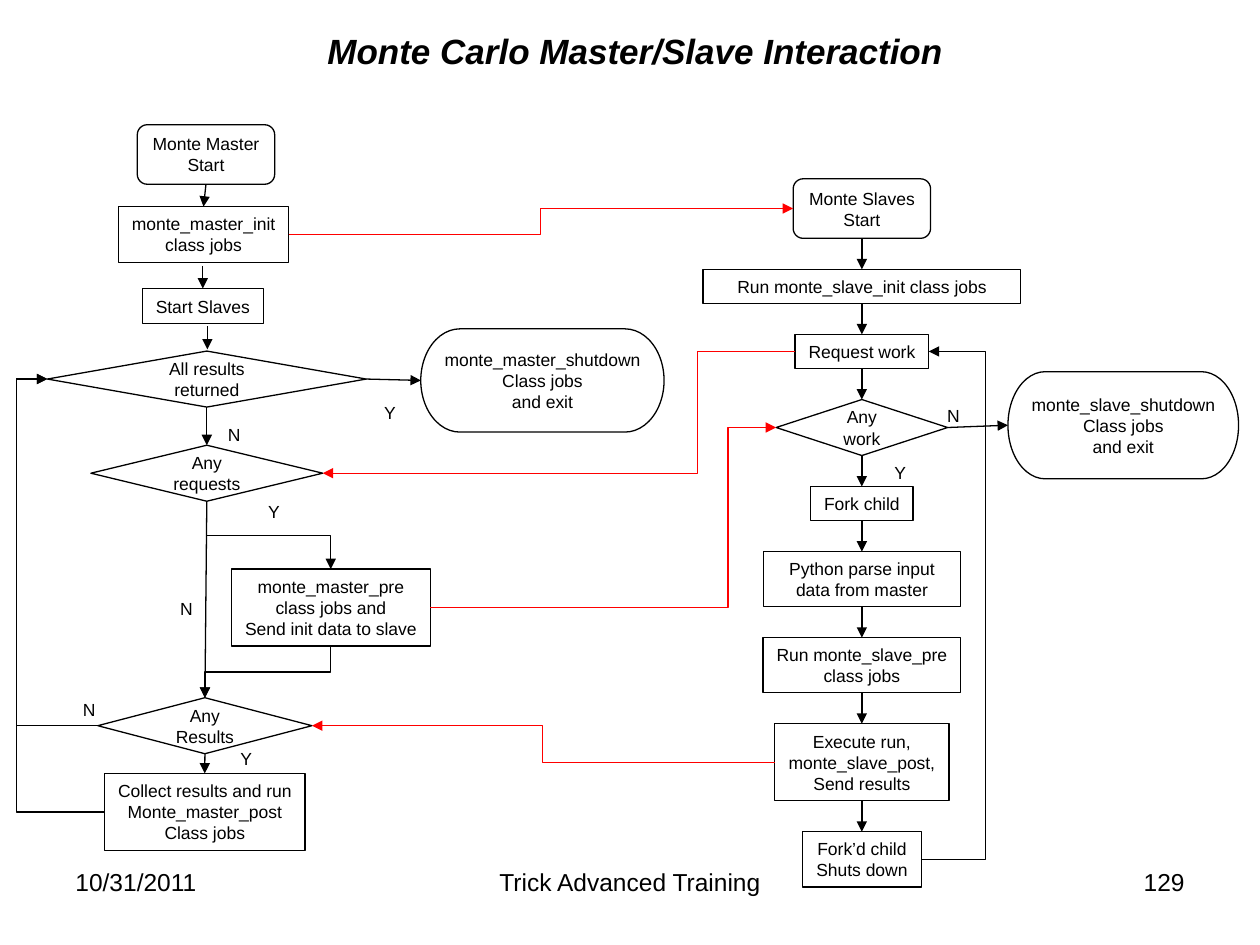
from lxml import etree
from pptx import Presentation
from pptx.dml.color import RGBColor
from pptx.enum.shapes import MSO_CONNECTOR, MSO_SHAPE
from pptx.enum.text import MSO_ANCHOR, PP_ALIGN
from pptx.oxml.ns import qn
from pptx.util import Pt

PROCESS = MSO_SHAPE.FLOWCHART_PROCESS
DECISION = MSO_SHAPE.FLOWCHART_DECISION
ROUNDED = MSO_SHAPE.FLOWCHART_ALTERNATE_PROCESS
TERMINATOR = MSO_SHAPE.FLOWCHART_TERMINATOR
STRAIGHT, ELBOW = MSO_CONNECTOR.STRAIGHT, MSO_CONNECTOR.ELBOW
LEFT, CENTER, RIGHT = PP_ALIGN.LEFT, PP_ALIGN.CENTER, PP_ALIGN.RIGHT
MIDDLE, TOP = MSO_ANCHOR.MIDDLE, MSO_ANCHOR.TOP
T, L, B, R = range(4)

THEME = {
    "font": "Arial", "title": 20, "footer": 14, "body": 10, "line": 0.75,
    "ink": RGBColor(0, 0, 0), "message": RGBColor(255, 0, 0),
}

TITLE = "Monte Carlo Master/Slave Interaction"
FOOTERS = [
    ("10/31/2011", 36, 168, LEFT),
    ("Trick Advanced Training", 246, 228, CENTER),
    ("129", 516, 168, RIGHT),
]

# key, kind, text, centre x, top, width, height
MASTER = [
    ("m_start", ROUNDED, "Monte Master\nStart", 117.7, 71.3, 78.5, 34),
    ("m_init", PROCESS, "monte_master_init\nclass jobs", 116.3, 118.1, 97.2, 31.8),
    ("start_slaves", PROCESS, "Start Slaves", 115.9, 164.9, 69.1, 20),
    ("all_results", DECISION, "All results returned", 118.2, 200.6, 182.2, 32),
    ("requests", DECISION, "Any requests", 118.2, 254.4, 132.5, 32),
    ("m_pre", PROCESS, "monte_master_pre\nclass jobs and\nSend init data to slave", 189, 325.2, 113.8, 44),
    ("any_results", DECISION, "Any Results", 117.1, 398.7, 122.4, 32),
    ("collect", PROCESS, "Collect results and run\nMonte_master_post\nClass jobs", 117, 442, 114.5, 44),
    ("m_shutdown", TERMINATOR, "monte_master_shutdown\nClass jobs\nand exit", 310, 187.9, 139, 59),
    ("s_shutdown", TERMINATOR, "monte_slave_shutdown\nClass jobs\nand exit", 641.9, 212.4, 131.8, 61.2),
]

# key, kind, text, width, height
SLAVE = [
    ("s_start", ROUNDED, "Monte Slaves\nStart", 78.5, 34),
    ("s_init", PROCESS, "Run monte_slave_init class jobs", 181.5, 19.5),
    ("request", PROCESS, "Request work", 76.5, 19.5),
    ("work", DECISION, "Any work", 98, 32),
    ("fork", PROCESS, "Fork child", 58.5, 19.5),
    ("parse", PROCESS, "Python parse input data from master", 112.5, 31.5),
    ("s_pre", PROCESS, "Run monte_slave_pre\nclass jobs", 113, 31.5),
    ("execute", PROCESS, "Execute run,\nmonte_slave_post,\nSend results", 99.5, 44),
    ("forked", PROCESS, "Fork’d child\nShuts down", 68, 31.5),
]
SLAVE_X, SLAVE_TOP, SLAVE_GAP = 492.5, 102.2, 17.7

ARROWS = [
    ("m_start", B, "m_init", T),
    ("all_results", B, "requests", T),
    ("all_results", R, "m_shutdown", L),
    ("requests", B, "any_results", T),
    ("any_results", B, "collect", T),
    ("work", R, "s_shutdown", L),
] + [(a[0], B, b[0], T) for a, b in zip(SLAVE, SLAVE[1:])]

# key, side, key, side, x of the vertical run, colour
SIDE_ELBOWS = [
    ("collect", L, "all_results", L, 9.4, "ink"),
    ("any_results", L, "all_results", L, 9.4, "ink"),
    ("forked", R, "request", R, 563, "ink"),
    ("m_init", R, "s_start", L, 309, "message"),
    ("m_pre", R, "work", L, 416, "message"),
    ("request", L, "requests", R, 398.7, "message"),
    ("execute", L, "any_results", R, 310, "message"),
]
DOWN_ELBOWS = [("requests", "m_pre"), ("m_pre", "any_results")]

LABELS = [
    ("N", 40.3, 396), ("Y", 130.3, 424), ("N", 123.1, 239), ("Y", 146.2, 283),
    ("N", 95.8, 338.4), ("Y", 212.4, 226), ("Y", 504, 260.6), ("N", 534.2, 228.2),
]


def write(sp, text, size, align, anchor=TOP, wrap=True, strong=False):
    tf = sp.text_frame
    tf.text = text
    tf.word_wrap = wrap
    tf.vertical_anchor = anchor
    for p in tf.paragraphs:
        p.alignment = align
        for r in p.runs:
            r.font.name = THEME["font"]
            r.font.size = Pt(THEME[size])
            r.font.color.rgb = THEME["ink"]
            r.font.bold = r.font.italic = strong


def add_box(key, kind, text, cx, top, width, height):
    sp = s.shapes.add_shape(kind, Pt(cx - width / 2), Pt(top), Pt(width), Pt(height))
    sp.shadow.inherit = False
    sp.fill.background()
    sp.line.color.rgb = THEME["ink"]
    sp.line.width = Pt(THEME["line"])
    write(sp, text, "body", CENTER, MIDDLE, kind == DECISION or key == "parse")
    boxes[key] = sp


def add_text(text, left, top, width, height, size, align, wrap):
    sp = s.shapes.add_textbox(Pt(left), Pt(top), Pt(width), Pt(height))
    write(sp, text, size, align, wrap=wrap)


def add_arrow(kind, colour="ink", start=(0, 0), end=(0, 0)):
    c = s.shapes.add_connector(kind, *map(Pt, start + end))
    c.line.color.rgb = THEME[colour]
    c.line.width = Pt(THEME["line"])
    sp_pr = c._element.spPr
    etree.SubElement(sp_pr.find(qn("a:ln")), qn("a:tailEnd"), type="triangle")
    etree.SubElement(sp_pr, qn("a:effectLst"))
    return c


def join(c, a, a_side, b, b_side):
    c.begin_connect(boxes[a], a_side)
    c.end_connect(boxes[b], b_side)


def set_bend(c, share):
    geom = c._element.spPr.find(qn("a:prstGeom"))
    guides = geom.find(qn("a:avLst"))
    if guides is None:
        guides = etree.SubElement(geom, qn("a:avLst"))
    etree.SubElement(guides, qn("a:gd"), name="adj1", fmla=f"val {round(share * 100000)}")


def turn_downward(c):
    x0, y0, x1, y1 = c.begin_x, c.begin_y, c.end_x, c.end_y
    length, breadth = abs(y1 - y0), abs(x1 - x0)
    c.left, c.top = (x0 + x1 - length) // 2, (y0 + y1 - breadth) // 2
    c.width, c.height = length, breadth
    xfrm = c._element.spPr.find(qn("a:xfrm"))
    xfrm.set("rot", "16200000" if x1 > x0 else "5400000")
    xfrm.set("flipH", "1" if x1 > x0 else "0")
    xfrm.set("flipV", "0")


prs = Presentation()
prs.slide_width, prs.slide_height = Pt(720), Pt(540)
s = prs.slides.add_slide(prs.slide_layouts[5])
boxes = {}

title = s.shapes.title
title.left, title.top, title.width, title.height = Pt(72), Pt(12.5), Pt(582), Pt(32.5)
write(title, TITLE, "title", CENTER, MIDDLE, strong=True)
for text, left, width, align in FOOTERS:
    add_text(text, left, 492, width, 37.5, "footer", align, True)

for box in MASTER:
    add_box(*box)
top = SLAVE_TOP
for key, kind, text, width, height in SLAVE:
    add_box(key, kind, text, SLAVE_X, top, width, height)
    top += height + SLAVE_GAP

for ends in ARROWS:
    join(add_arrow(STRAIGHT), *ends)
to_slaves = add_arrow(STRAIGHT, start=(115.9, 152), end=(115.9, 164.9))
to_slaves.end_connect(boxes["start_slaves"], T)
add_arrow(STRAIGHT, start=(118.5, 186.5), end=(118.5, 199.7))

for *ends, bend_x, colour in SIDE_ELBOWS:
    c = add_arrow(ELBOW, colour)
    join(c, *ends)
    set_bend(c, (Pt(bend_x) - c.begin_x) / (c.end_x - c.begin_x))
for a, b in DOWN_ELBOWS:
    c = add_arrow(ELBOW)
    join(c, a, B, b, T)
    turn_downward(c)
    set_bend(c, 0.5)

for text, left, top in LABELS:
    add_text(text, left, top, 21.5, 19.5, "body", LEFT, False)

prs.save("out.pptx")
